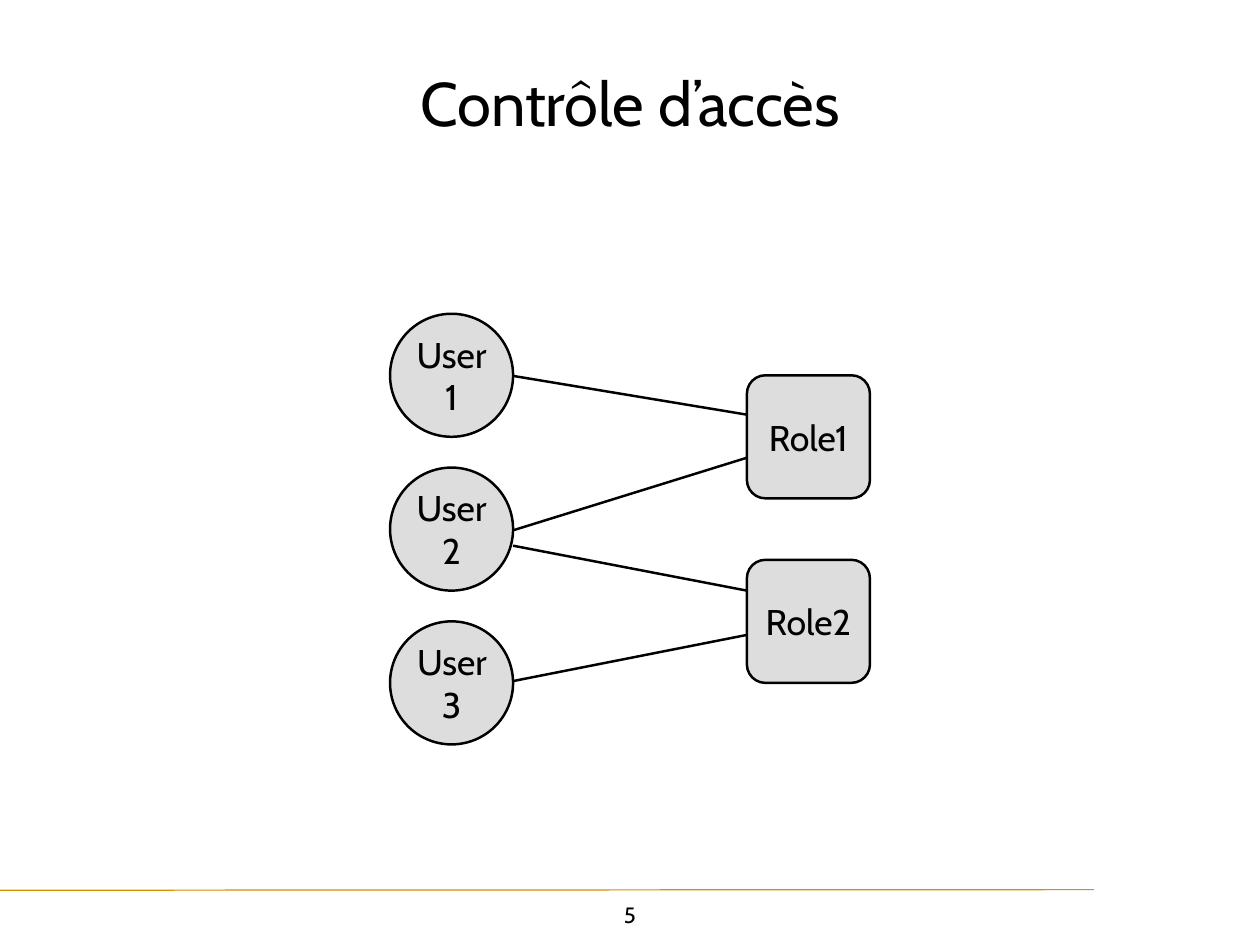
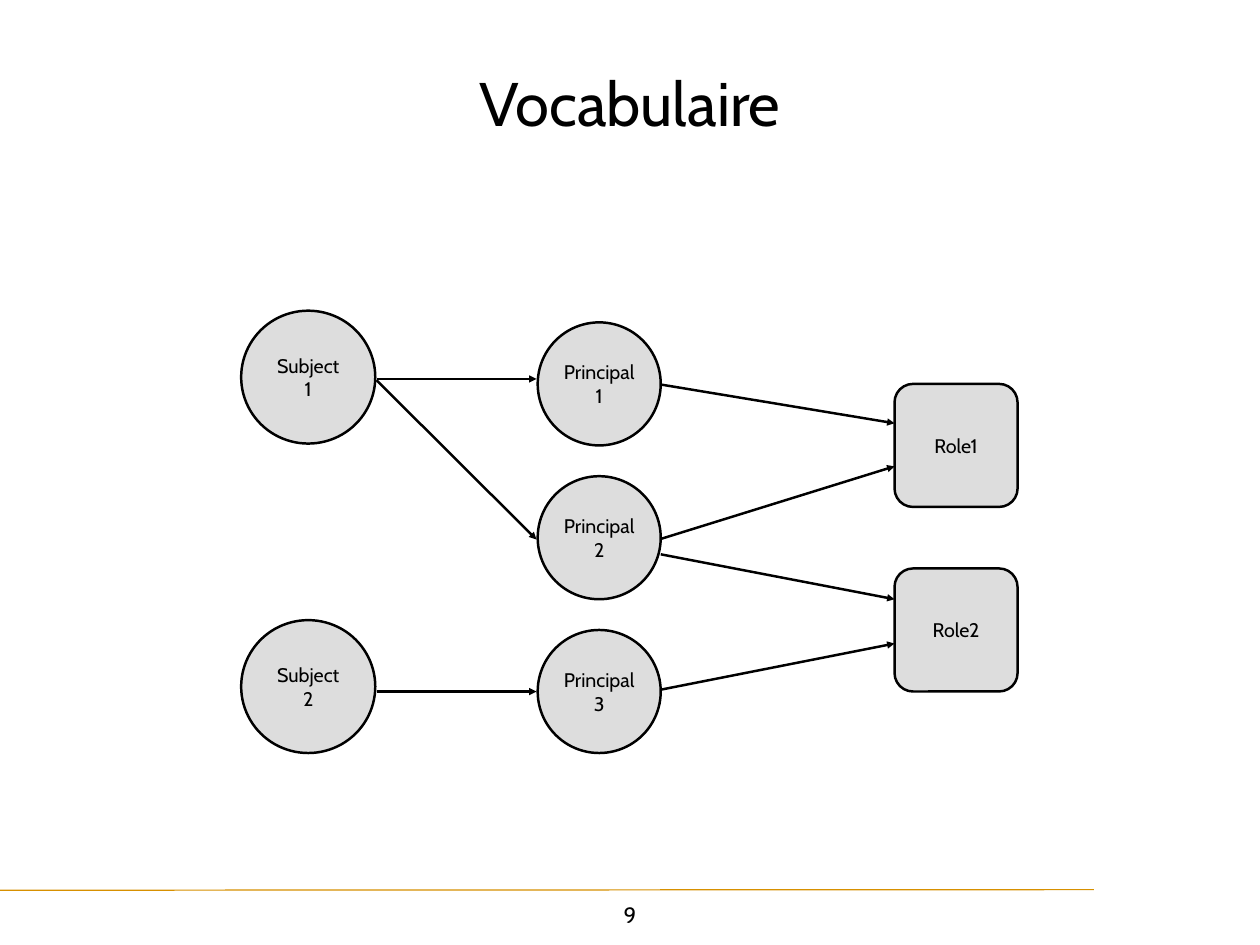
from dataclasses import dataclass

from lxml.etree import SubElement as add_sub
from pptx import Presentation
from pptx.dml.color import RGBColor
from pptx.enum.shapes import MSO_CONNECTOR as Link, MSO_SHAPE as Form
from pptx.enum.text import MSO_ANCHOR as Anchor, PP_ALIGN as Align
from pptx.oxml.ns import qn
from pptx.shapes.base import BaseShape
from pptx.slide import Slide
from pptx.util import Pt

FONT = "Cabin"
BLACK, GREY, GOLD = "000000", "DDDDDD", "D79000"
WIDE, HIGH = 1024, 768
INSET = 4
SIDE = 100  # width and height of users, principals and roles
USER_X, USER_Y, USER_STEP = 317, 255, 125
ROLE_X, ROLE_Y, ROLE_STEP = 607, 305, 150


@dataclass(frozen=True)
class Node:
    """A labelled circle or rounded square."""
    label: str
    left: float
    top: float
    wide: float = SIDE
    high: float = SIDE
    form: Form = Form.OVAL


@dataclass(frozen=True)
class Edge:
    """A straight line between two points."""
    x1: float
    y1: float
    x2: float
    y2: float


ROLE_EDGES = [
    Edge(417, 305.5, 607, 337),
    Edge(417, 431, 607, 372),
    Edge(417, 443.5, 607, 480),
    Edge(417, 553.5, 607, 516),
]
SUBJECTS = [
    Node("Subject\n1", 196, 252.5, 109, 108),
    Node("Subject\n2", 196, 504, 109, 108),
]
SUBJECT_EDGES = [
    Edge(306, 308, 436, 308),
    Edge(306, 309, 436, 438.5),
    Edge(306, 562, 436, 562),
]


def color(code: str) -> RGBColor:
    """Turn a hex string into a colour."""
    return RGBColor.from_string(code)


def write(shape: BaseShape, text: str, *, size: float, wrap: bool = True,
          anchor: Anchor = Anchor.MIDDLE) -> None:
    """Put centred text in a shape, one paragraph per line."""
    frame = shape.text_frame
    frame.text = text
    frame.word_wrap = wrap
    frame.vertical_anchor = anchor
    frame.margin_left = frame.margin_right = Pt(INSET)
    frame.margin_top = frame.margin_bottom = Pt(INSET)
    for para in frame.paragraphs:
        para.alignment = Align.CENTER
        for run in para.runs:
            run.font.name = FONT
            run.font.size = Pt(size)
            run.font.color.rgb = color(BLACK)


def draw_node(slide: Slide, node: Node, size: float) -> None:
    """Draw a node with its label."""
    shape = slide.shapes.add_shape(
        node.form, Pt(node.left), Pt(node.top), Pt(node.wide), Pt(node.high))
    if node.form == Form.ROUNDED_RECTANGLE:
        shape.adjustments[0] = 0.15
    shape.shadow.inherit = False
    shape.fill.solid()
    shape.fill.fore_color.rgb = color(GREY)
    shape.line.color.rgb = color(BLACK)
    shape.line.width = Pt(2)
    write(shape, node.label, size=size)


def draw_edge(slide: Slide, edge: Edge, *, arrow: bool = False,
              ink: str = BLACK, width: float = 2) -> None:
    """Draw an edge, with an arrowhead at its end if asked."""
    line = slide.shapes.add_connector(
        Link.STRAIGHT, Pt(edge.x1), Pt(edge.y1), Pt(edge.x2), Pt(edge.y2))
    line.line.color.rgb = color(ink)
    line.line.width = Pt(width)
    if arrow:
        add_sub(line.line._get_or_add_ln(), qn("a:tailEnd"), type="triangle")
    add_sub(line._element.spPr, qn("a:effectLst"))


def add_page(deck: Presentation, title: str, number: int) -> Slide:
    """Add a slide with title, footer rule and page number."""
    slide = deck.slides.add_slide(deck.slide_layouts[6])
    draw_edge(slide, Edge(0, 723.5, 889, 723), ink=GOLD, width=1)
    foot = slide.shapes.add_textbox(Pt(498), Pt(728.5), Pt(28), Pt(29))
    write(foot, str(number), size=18, wrap=False, anchor=Anchor.TOP)
    head = slide.shapes.add_textbox(Pt(100), Pt(20), Pt(824), Pt(125))
    write(head, title, size=50)
    return slide


def draw_roles(slide: Slide, name: str, size: float, *, dx: float = 0,
               dy: float = 0, arrow: bool = False) -> None:
    """Draw three named circles linked to two roles, shifted by dx, dy."""
    for row in range(3):
        draw_node(slide, Node(f"{name}{row + 1}", USER_X + dx,
                              USER_Y + dy + row * USER_STEP), size)
    for row in range(2):
        draw_node(slide, Node(f"Role{row + 1}", ROLE_X + dx,
                              ROLE_Y + dy + row * ROLE_STEP,
                              form=Form.ROUNDED_RECTANGLE), size)
    for edge in ROLE_EDGES:
        moved = Edge(edge.x1 + dx, edge.y1 + dy, edge.x2 + dx, edge.y2 + dy)
        draw_edge(slide, moved, arrow=arrow)


def main() -> None:
    """Build and save the deck."""
    deck = Presentation()
    deck.slide_width, deck.slide_height = Pt(WIDE), Pt(HIGH)

    access = add_page(deck, "Contrôle d’accès", 5)
    draw_roles(access, "User", 29)

    terms = add_page(deck, "Vocabulaire", 9)
    draw_roles(terms, "Principal\n", 16, dx=120, dy=7, arrow=True)
    for node in SUBJECTS:
        draw_node(terms, node, 16)
    for edge in SUBJECT_EDGES:
        draw_edge(terms, edge, arrow=True)

    deck.save("out.pptx")


main()
